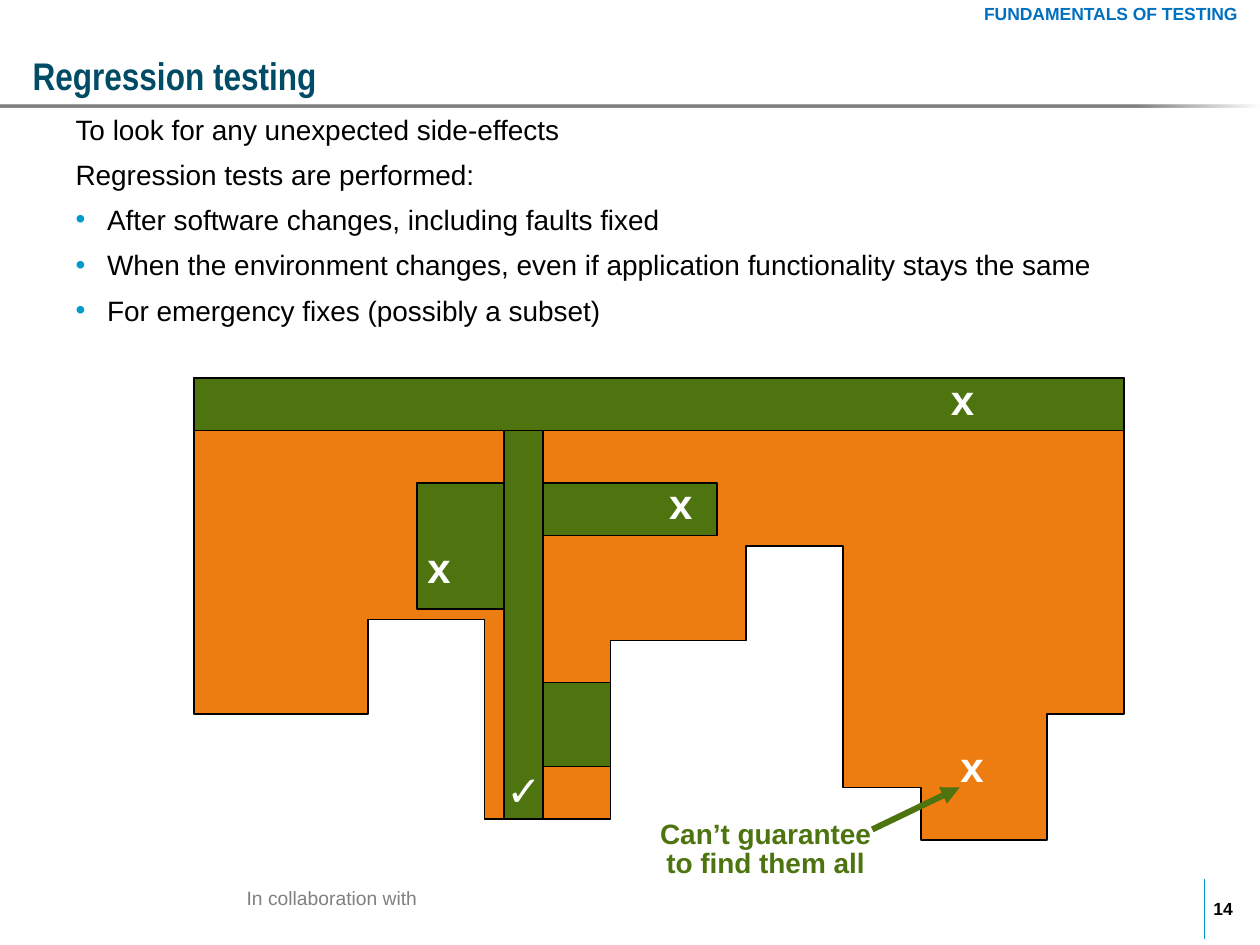
import pptx
import pptx.util
import pptx.dml.color
import pptx.enum.shapes
import pptx.enum.text
import pptx.oxml
import pptx.oxml.ns

RGB = pptx.dml.color.RGBColor
Inches, Pt = pptx.util.Inches, pptx.util.Pt
Align, Anchor = pptx.enum.text.PP_ALIGN, pptx.enum.text.MSO_ANCHOR
Kind = pptx.enum.shapes.MSO_SHAPE

WHITE, BLACK = RGB(255, 255, 255), RGB(0, 0, 0)
GREEN, ORANGE = RGB(0x4D, 0x74, 0x0F), RGB(0xEE, 0x7D, 0x11)
TEAL, SKY = RGB(0, 0x4B, 0x66), RGB(0, 0x9B, 0xCC)
BLUE, GREY = RGB(0, 0x70, 0xC0), RGB(0x80, 0x80, 0x80)
WIDE, HIGH = 10, 7.5
COLS, ROWS = 96, 44  # grid of the system drawing


def node(tag, inner="", **attrs):
    pairs = "".join(f' {key}="{val}"' for key, val in attrs.items())
    space = pptx.oxml.ns.nsdecls("a")
    return pptx.oxml.parse_xml(f"<a:{tag} {space}{pairs}>{inner}</a:{tag}>")


def indent(para, step):
    """Hang a coloured bullet in front of the paragraph."""
    props = para._p.get_or_add_pPr()
    props.set("marL", str(Inches(step)))
    props.set("indent", str(-Inches(step)))
    props.append(node("buClr", f'<a:srgbClr val="{SKY}"/>'))
    props.append(node("buFont", typeface="Arial"))
    props.append(node("buChar", char="•"))


def write(slide, box, text, size=16, color=BLACK, bold=False, font="Arial",
          align=Align.LEFT, anchor=Anchor.TOP, pad=(0.1, 0.05, 0.1, 0.05),
          wrap=True, lead=None, after=0, dots=()):
    """Text box with one paragraph a line; dots are the bulleted lines."""
    frame = slide.shapes.add_textbox(*map(Inches, box)).text_frame
    frame.word_wrap, frame.vertical_anchor = wrap, anchor
    (frame.margin_left, frame.margin_top,
     frame.margin_right, frame.margin_bottom) = map(Inches, pad)
    for num, line in enumerate(text.split("\n")):
        para = frame.add_paragraph() if num else frame.paragraphs[0]
        para.alignment, para.space_after = align, Pt(after)
        if lead:
            para.line_spacing = lead
        if num in dots:
            indent(para, 0.25)
        run = para.add_run()
        run.text = line
        run.font.size, run.font.bold, run.font.name = Pt(size), bold, font
        run.font.color.rgb = color


def paint(shape, fill):
    shape.shadow.inherit = False
    shape.fill.solid()
    shape.fill.fore_color.rgb = fill
    shape.line.color.rgb, shape.line.width = BLACK, Pt(1)


def link(slide, start, end, color, width, head=False):
    line = slide.shapes.add_connector(
        pptx.enum.shapes.MSO_CONNECTOR.STRAIGHT, *map(Inches, start + end))
    line.line.color.rgb, line.line.width = color, Pt(width)
    if head:
        line.line._get_or_add_ln().append(node("tailEnd", type="triangle"))
    line._element.spPr.append(node("effectLst"))


def header(slide, box):
    left, top, width, height = box
    rule = slide.shapes.add_shape(
        Kind.RECTANGLE, Inches(left), Inches(top + height),
        Inches(width), Inches(0.02))
    rule.shadow.inherit = False
    rule.line.fill.background()
    rule.fill.gradient()
    rule.fill.gradient_angle = 0
    stops = "".join(
        f'<a:gs pos="{pos}000"><a:srgbClr val="{GREY}">'
        f'<a:alpha val="{alpha}000"/></a:srgbClr></a:gs>'
        for pos, alpha in ((40, 100), (90, 100), (100, 0)))
    old = rule._element.spPr.find(".//" + pptx.oxml.ns.qn("a:gsLst"))
    old.getparent().replace(old, node("gsLst", stops))
    write(slide, (left + 0.26, top + 0.23, width - 0.47, height - 0.23),
          "Regression testing", size=22, color=TEAL, bold=True,
          font="Arial Narrow", anchor=Anchor.BOTTOM, pad=(0, 0.05, 0.1, 0.05))
    write(slide, (left + width - 2.33, top, 2.33, 0.24),
          "FUNDAMENTALS OF TESTING ", size=10, color=BLUE, bold=True,
          align=Align.CENTER, lead=0.85)


def body(slide, box):
    write(slide, box,
          "To look for any unexpected side-effects\n"
          "Regression tests are performed:\n"
          "After software changes, including faults fixed\n"
          "When the environment changes, even if application "
          "functionality stays the same\n"
          "For emergency fixes (possibly a subset)",
          after=6.7, pad=(0, 0.06, 0.1, 0.05), dots=(2, 3, 4))


def system(slide, box):
    """Orange system outline, green tested parts, marks and callout."""
    left, top, width, height = box
    col, row = width / COLS, height / ROWS

    def spot(x, y):
        return left + x * col, top + y * row

    edge = [(96, 0), (96, 32), (88, 32), (88, 44), (75, 44), (75, 39),
            (67, 39), (67, 16), (57, 16), (57, 25), (43, 25), (43, 42),
            (30, 42), (30, 23), (18, 23), (18, 32), (0, 32)]
    free = slide.shapes.build_freeform(
        0, 0, scale=(Inches(col), Inches(row)))
    free.add_line_segments(edge, close=True)
    paint(free.convert_to_shape(Inches(left), Inches(top)), ORANGE)

    parts = [(0, 0, 96, 5), (32, 5, 4, 37), (23, 10, 9, 12),
             (36, 10, 18, 5), (36, 29, 7, 8)]
    for x, y, wide, high in parts:
        place = (*spot(x, y), wide * col, high * row)
        paint(slide.shapes.add_shape(
            Kind.RECTANGLE, *map(Inches, place)), GREEN)

    marks = [("x", 50.25, 12.3), ("x", 79.3, 2.4), ("x", 25.3, 18.4),
             ("x", 80.3, 37.3), ("✓", 33.7, 39.6)]
    for sign, x, y in marks:
        mid, row_mid = spot(x, y)
        write(slide, (mid - 0.21, row_mid - 0.22, 0.42, 0.44), sign,
              size=24, color=WHITE, bold=True, align=Align.CENTER,
              wrap=False, lead=0.85)

    write(slide, (*spot(48, 42.3), 22 * col, 5.5 * row),
          "Can’t guarantee\nto find them all", color=GREEN, bold=True,
          align=Align.CENTER, pad=(0, 0, 0, 0), wrap=False, lead=0.85)
    link(slide, spot(70, 43), spot(79, 39), GREEN, 3.5, head=True)


def footer(slide, box):
    left, top, width, height = box
    split = left + width - 0.44
    link(slide, (split, top), (split, top + height), SKY, 0.75)
    write(slide, (left + 1.85, top + 0.03, 1.57, 0.26),
          "In collaboration with", size=11, color=GREY,
          align=Align.CENTER, wrap=False, lead=0.85)
    write(slide, (split + 0.03, top + 0.16, 0.26, 0.14), "14", size=10,
          bold=True, anchor=Anchor.MIDDLE, pad=(0.04, 0, 0.05, 0), wrap=False)


def main():
    deck = pptx.Presentation()
    deck.slide_width, deck.slide_height = Inches(WIDE), Inches(HIGH)
    slide = deck.slides.add_slide(deck.slide_layouts[6])
    header(slide, (0, 0, WIDE, 0.83))
    body(slide, (0.06 * WIDE, 0.83, 0.85 * WIDE, 5.83))
    system(slide, (WIDE * 2 / 13, 0.4 * HIGH, COLS / 13, ROWS / 12))
    footer(slide, (0, 6.98, WIDE, 0.47))
    deck.save("out.pptx")


if __name__ == "__main__":
    main()
